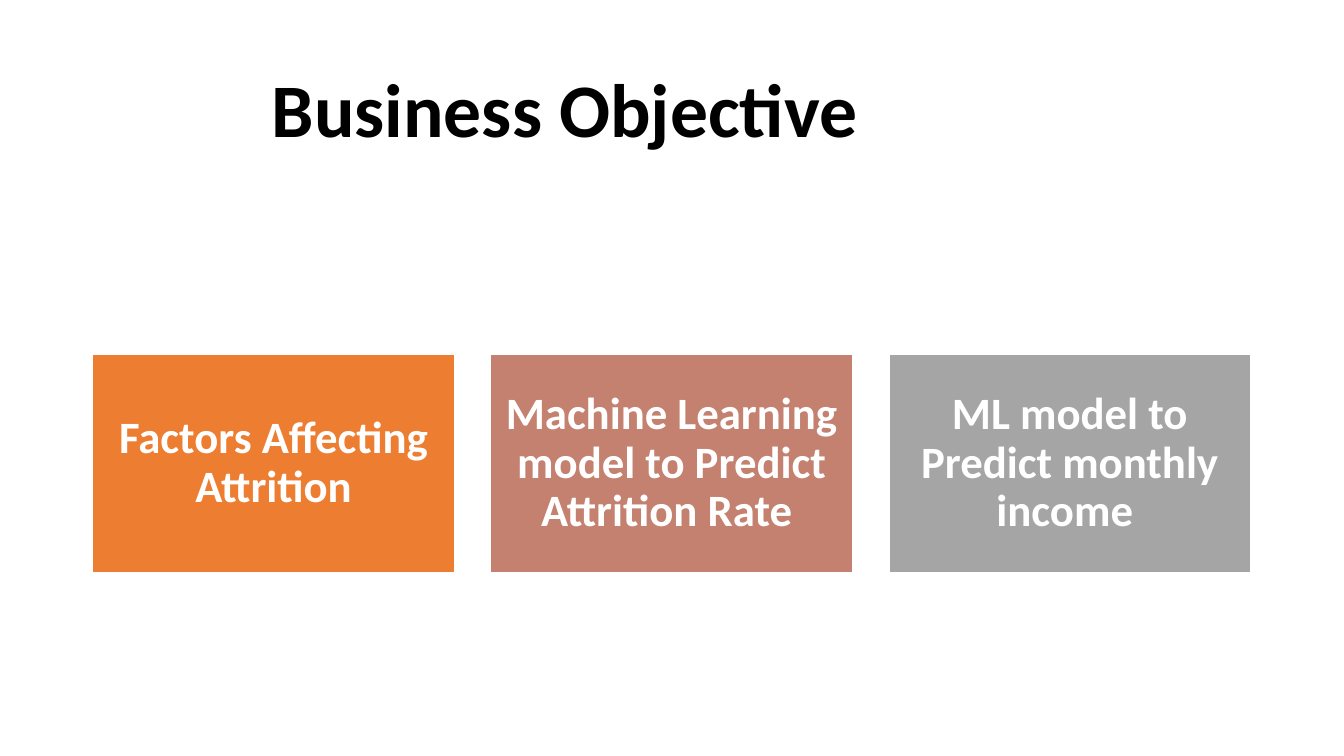
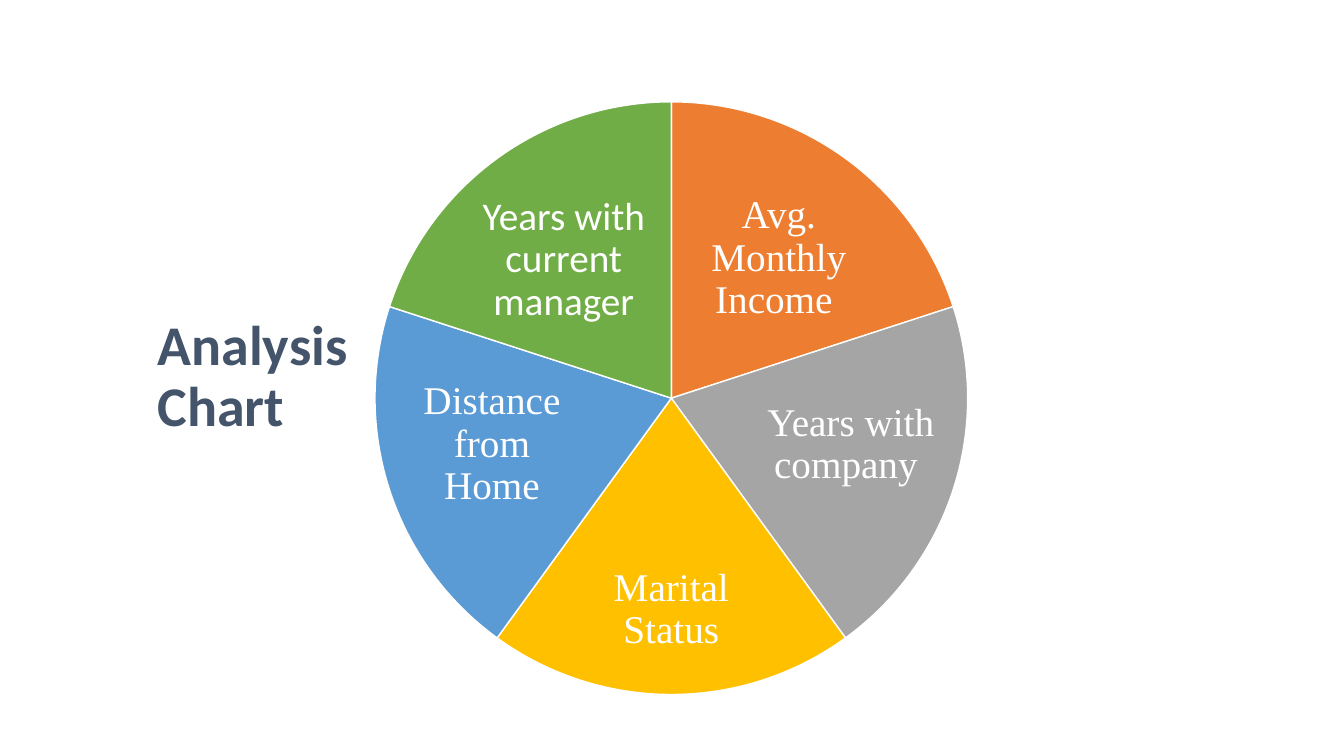
from pptx import Presentation
from pptx.dml.color import RGBColor
from pptx.enum.shapes import MSO_SHAPE
from pptx.enum.text import MSO_ANCHOR, PP_ALIGN
from pptx.util import Inches, Pt

RECT, PIE = MSO_SHAPE.RECTANGLE, MSO_SHAPE.PIE
MIDDLE = MSO_ANCHOR.MIDDLE
LEFT, CENTER = PP_ALIGN.LEFT, PP_ALIGN.CENTER

WIDE, HIGH = Inches(13.333), Inches(7.5)
SANS, SERIF = "Calibri", "Times New Roman"
BLACK, WHITE, SLATE = "000000", "FFFFFF", "44546A"
ORANGE, ROSE, GRAY = "ED7D31", "C48170", "A5A5A5"
GOLD, BLUE, GREEN = "FFC000", "5B9BD5", "70AD47"

GOALS = [
    ("Factors Affecting Attrition", ORANGE),
    ("Machine Learning model to Predict Attrition Rate ", ROSE),
    ("ML model to Predict monthly income ", GRAY),
]

# Label, colour, font, label centre (x from pie centre, y), label size
HUB = 49.95
WEDGES = [
    ("Avg. Monthly Income ", ORANGE, SERIF, 8, 34.2, 14.93, 18.13),
    ("Years with company ", GRAY, SERIF, 13.35, 58.8, 13.13, 19.73),
    ("Marital Status", GOLD, SERIF, 0, 80.67, 15.75, 16.8),
    ("Distance from Home", BLUE, SERIF, -13.35, 58.8, 13.13, 19.73),
    ("Years with current manager", GREEN, SANS, -8, 34.4, 14.93, 18.13),
]


def tint(code):
    return RGBColor.from_string(code)


def place(x, y, w, h):
    """Turn percent shares of the slide into lengths."""
    return [int(share * side / 100)
            for share, side in zip((x, y, w, h), (WIDE, HIGH, WIDE, HIGH))]


def write(shape, text, size, color=WHITE, font=SANS, bold=False,
          align=CENTER, inset=0.1, after=0):
    frame = shape.text_frame
    frame.word_wrap = True
    frame.vertical_anchor = MIDDLE
    frame.margin_left = frame.margin_right = Inches(inset)
    frame.margin_top = frame.margin_bottom = Inches(inset)
    para = frame.paragraphs[0]
    para.alignment = align
    para.line_spacing = 0.9
    para.space_after = Pt(after)
    run = para.add_run()
    run.text = text
    run.font.size = Pt(size)
    run.font.name = font
    run.font.bold = bold
    run.font.color.rgb = tint(color)


def block(slide, kind, box, fill):
    shape = slide.shapes.add_shape(kind, *place(*box))
    shape.shadow.inherit = False
    shape.fill.solid()
    shape.fill.fore_color.rgb = tint(fill)
    shape.line.color.rgb = tint(WHITE)
    shape.line.width = Pt(1)
    return shape


def label(slide, text, box, **form):
    write(slide.shapes.add_textbox(*place(*box)), text, **form)


def title(slide, text, box, size, color):
    label(slide, text, box, size=size, color=color, bold=True,
          align=LEFT, after=6)


def wedge(slide, start, sweep, fill):
    pie = block(slide, PIE, (27.9, 13.47, 44.1, 78.4), fill)
    # Angles are in 60000ths of a degree, stored here per 100000
    pie.adjustments[0] = start % 360 * 0.6
    pie.adjustments[1] = (start + sweep) % 360 * 0.6


def goals(slide):
    title(slide, "Business Objective", (19.5, 5.33, 61, 19.33), 54, BLACK)
    width, gap = 26.93, 2.69
    for i, (text, fill) in enumerate(GOALS):
        box = (6.9 + i * (width + gap), 46.93, width, 28.8)
        card = block(slide, RECT, box, fill)
        write(card, text, size=32, bold=True, inset=0.13)


def wheel(slide):
    title(slide, "Analysis Chart", (11, 29.47, 21.2, 41.07), 40, SLATE)
    sweep = 360 / len(WEDGES)
    for i, (text, fill, font, dx, mid, w, h) in enumerate(WEDGES):
        wedge(slide, 270 + i * sweep, sweep, fill)
        box = (HUB + dx - w / 2, mid - h / 2, w, h)
        label(slide, text, box, size=28, font=font, inset=0.04)


def main():
    deck = Presentation()
    deck.slide_width, deck.slide_height = WIDE, HIGH
    blank = deck.slide_layouts[6]
    for build in (goals, wheel):
        build(deck.slides.add_slide(blank))
    deck.save("out.pptx")


if __name__ == "__main__":
    main()
